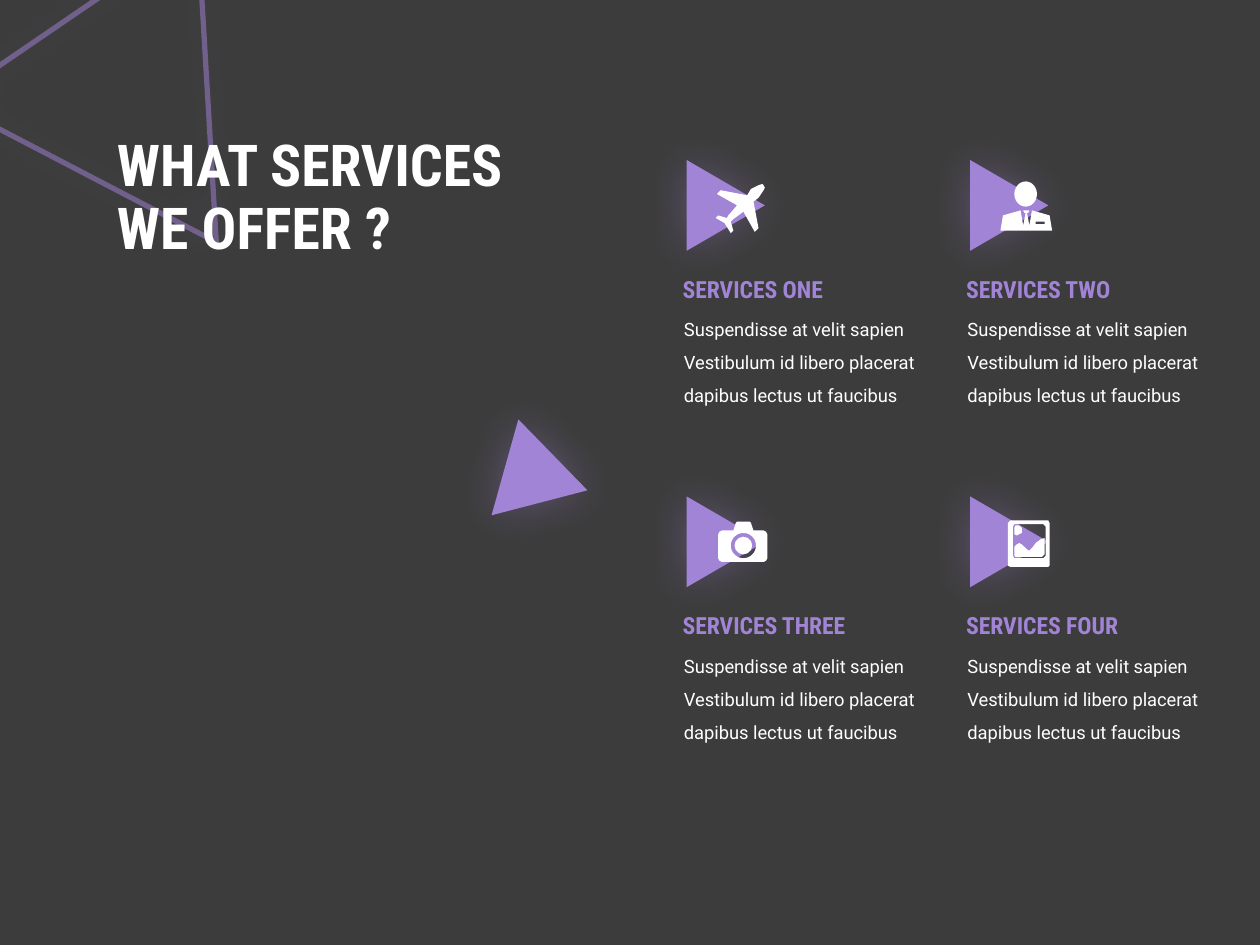
import math
from lxml import etree
from pptx import Presentation
from pptx.dml.color import RGBColor
from pptx.enum import shapes, text
from pptx.oxml import ns
from pptx.util import Inches, Pt

DARK = RGBColor(0x3C, 0x3C, 0x3C)
PURPLE = RGBColor(0xA2, 0x84, 0xD7)
WHITE = RGBColor(0xFF, 0xFF, 0xFF)

TITLE = {"name": "Roboto Condensed", "size": Pt(33), "bold": True}
HEADING = {"name": "Roboto Condensed", "size": Pt(13.5), "bold": True}
BODY = {"name": "Roboto", "size": Pt(10.5), "bold": False}

presentation = Presentation()
presentation.slide_width, presentation.slide_height = Inches(10), Inches(7.5)
slide = presentation.slides.add_slide(presentation.slide_layouts[6])
slide.background.fill.solid()
slide.background.fill.fore_color.rgb = DARK


def add_text(box, content, font_format, color, line_spacing):
    shape = slide.shapes.add_textbox(*map(Inches, box))
    frame = shape.text_frame
    frame.word_wrap = True
    frame.text = content
    paragraph = frame.paragraphs[0]
    paragraph.line_spacing = line_spacing
    for run in paragraph.runs:
        for name, value in font_format.items():
            setattr(run.font, name, value)
        run.font.color.rgb = color
    return frame


def add_triangle(box, rotation, outlined=False):
    """Add a glowing triangle, either filled or as a half-transparent outline."""
    shape = slide.shapes.add_shape(shapes.MSO_SHAPE.ISOSCELES_TRIANGLE, *map(Inches, box))
    shape.rotation = rotation
    if outlined:
        shape.fill.background()
        shape.line.width = Pt(3)
        shape.line.color.rgb = PURPLE
        line_color = shape.line._ln.find(".//" + ns.qn("a:srgbClr"))
        etree.SubElement(line_color, ns.qn("a:alpha"), val="50000")
    else:
        shape.fill.solid()
        shape.fill.fore_color.rgb = PURPLE
        shape.line.fill.background()
    shape.shadow.inherit = False
    effects = shape._element.spPr.find(ns.qn("a:effectLst"))
    glow = etree.SubElement(effects, ns.qn("a:outerShdw"), blurRad=str(Pt(25)),
                            dist="0", dir="0", algn="ctr", rotWithShape="0")
    glow_color = etree.SubElement(glow, ns.qn("a:srgbClr"), val=str(PURPLE))
    etree.SubElement(glow_color, ns.qn("a:alpha"), val="35000")


# Corner outline and title
add_triangle((-0.63, -0.29, 2.48, 2.07), 266.6, outlined=True)
title = add_text((0.83, 0.79, 4.22, 1.58), "WHAT SERVICES\vWE OFFER ?", TITLE, WHITE, 0.9)
title.vertical_anchor = text.MSO_ANCHOR.MIDDLE

# Services in a two by two grid
description = ("Suspendisse at velit sapien Vestibulum id libero placerat "
               "dapibus lectus ut faucibus")
for index, number in enumerate(("ONE", "TWO", "THREE", "FOUR")):
    row, column = divmod(index, 2)
    left, top = 5.32 + 2.25 * column, 1.32 + 2.67 * row
    add_triangle((left + 0.08, top, 0.72, 0.62), 90)
    for frame in (
        add_text((left + 0.01, top + 1.07, 2.11, 0.87), description, BODY, WHITE, 1.5),
        add_text((left, top + 0.81, 1.84, 0.33), f"SERVICES {number}", HEADING, PURPLE, 1.0),
    ):
        frame.auto_size = text.MSO_AUTO_SIZE.SHAPE_TO_FIT_TEXT

# Icon outlines; any outline after the first cuts a hole
plane = [[(6.06, 1.47), (6.05, 1.46), (6.02, 1.47), (5.96, 1.5), (5.93, 1.55),
          (5.72, 1.51), (5.69, 1.54), (5.85, 1.63), (5.78, 1.71), (5.77, 1.73),
          (5.7, 1.71), (5.68, 1.73), (5.75, 1.77), (5.8, 1.85), (5.82, 1.83),
          (5.8, 1.76), (5.82, 1.74), (5.9, 1.68), (5.99, 1.84), (6.02, 1.81),
          (5.98, 1.6), (6.02, 1.57), (6.06, 1.51), (6.07, 1.49)]]
suit = [[(8.33, 1.71), (8.19, 1.67), (8.17, 1.79), (8.15, 1.69), (8.16, 1.69),
         (8.17, 1.67), (8.12, 1.67), (8.13, 1.69), (8.14, 1.69), (8.12, 1.79),
         (8.1, 1.67), (7.96, 1.71), (7.94, 1.83), (8.35, 1.83)],
        [(8.29, 1.78), (8.22, 1.78), (8.22, 1.76), (8.29, 1.76)]]
lens_ring = [(5.9 + 0.1 * math.cos(math.radians(angle)),
              4.33 - 0.1 * math.sin(math.radians(angle))) for angle in range(0, 360, 10)]
camera = [[(6.06, 4.21), (5.98, 4.21), (5.96, 4.15), (5.95, 4.14), (5.85, 4.14),
           (5.84, 4.15), (5.82, 4.21), (5.73, 4.21), (5.71, 4.22), (5.7, 4.24),
           (5.7, 4.43), (5.71, 4.45), (5.73, 4.46), (6.06, 4.46), (6.08, 4.45),
           (6.09, 4.43), (6.09, 4.24), (6.08, 4.22)], lens_ring]
hills = [[(8.29, 4.27), (8.26, 4.28), (8.22, 4.31), (8.19, 4.35), (8.17, 4.37),
          (8.15, 4.36), (8.13, 4.34), (8.11, 4.32), (8.09, 4.31), (8.07, 4.32),
          (8.05, 4.34), (8.05, 4.41), (8.06, 4.42), (8.27, 4.42), (8.29, 4.4)]]
sun = [[(8.11, 4.21), (8.11, 4.19), (8.09, 4.17), (8.06, 4.17), (8.05, 4.19),
        (8.05, 4.24), (8.07, 4.25), (8.09, 4.24), (8.11, 4.23)]]
photo_frame = [[(8.32, 4.13), (8.02, 4.13), (8, 4.15), (8, 4.49), (8.02, 4.5),
                (8.32, 4.5), (8.33, 4.49), (8.33, 4.15)],
               [(8.3, 4.18), (8.3, 4.41), (8.28, 4.43), (8.05, 4.43), (8.04, 4.41),
                (8.04, 4.18), (8.05, 4.16), (8.28, 4.16)]]

# Each icon: its freeforms, then an optional ellipse
icons = [
    ([plane], None),
    ([suit], (8.05, 1.44, 0.18, 0.2)),
    ([camera], (5.83, 4.26, 0.14, 0.14)),
    ([hills, sun, photo_frame], None),
]
for freeforms, ellipse in icons:
    single = len(freeforms) == 1 and not ellipse
    container = slide.shapes if single else slide.shapes.add_group_shape().shapes
    parts = []
    for outlines in freeforms:
        builder = None
        for outline in outlines:
            start, *rest = [(Inches(x), Inches(y)) for x, y in outline]
            if builder is None:
                builder = container.build_freeform(*start)
            else:
                builder.move_to(*start)
            builder.add_line_segments(rest, close=True)
        parts.append(builder.convert_to_shape())
    if ellipse:
        parts.append(container.add_shape(shapes.MSO_SHAPE.OVAL, *map(Inches, ellipse)))
    for shape in parts:
        shape.fill.solid()
        shape.fill.fore_color.rgb = WHITE
        shape.line.fill.background()
        shape.shadow.inherit = False

# Accent triangle
add_triangle((3.94, 3.46, 0.79, 0.68), 105.6)

presentation.save("out.pptx")
